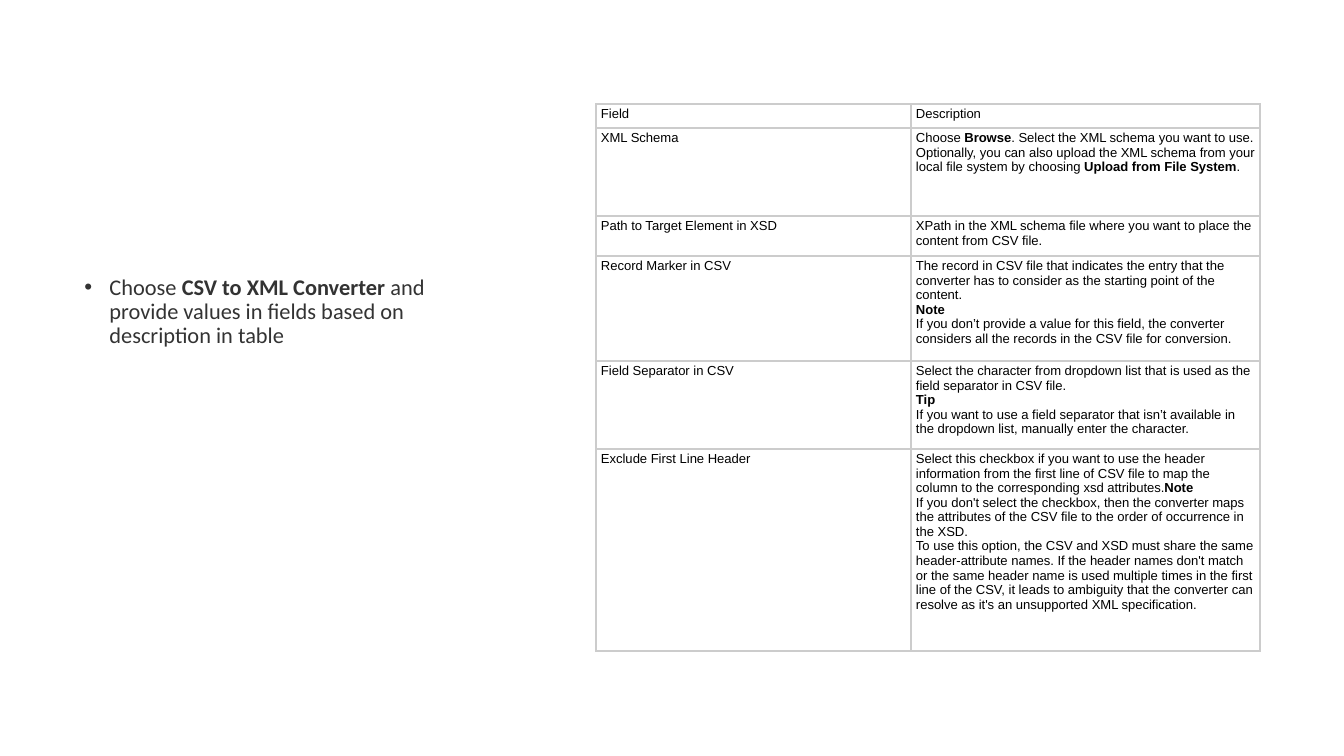
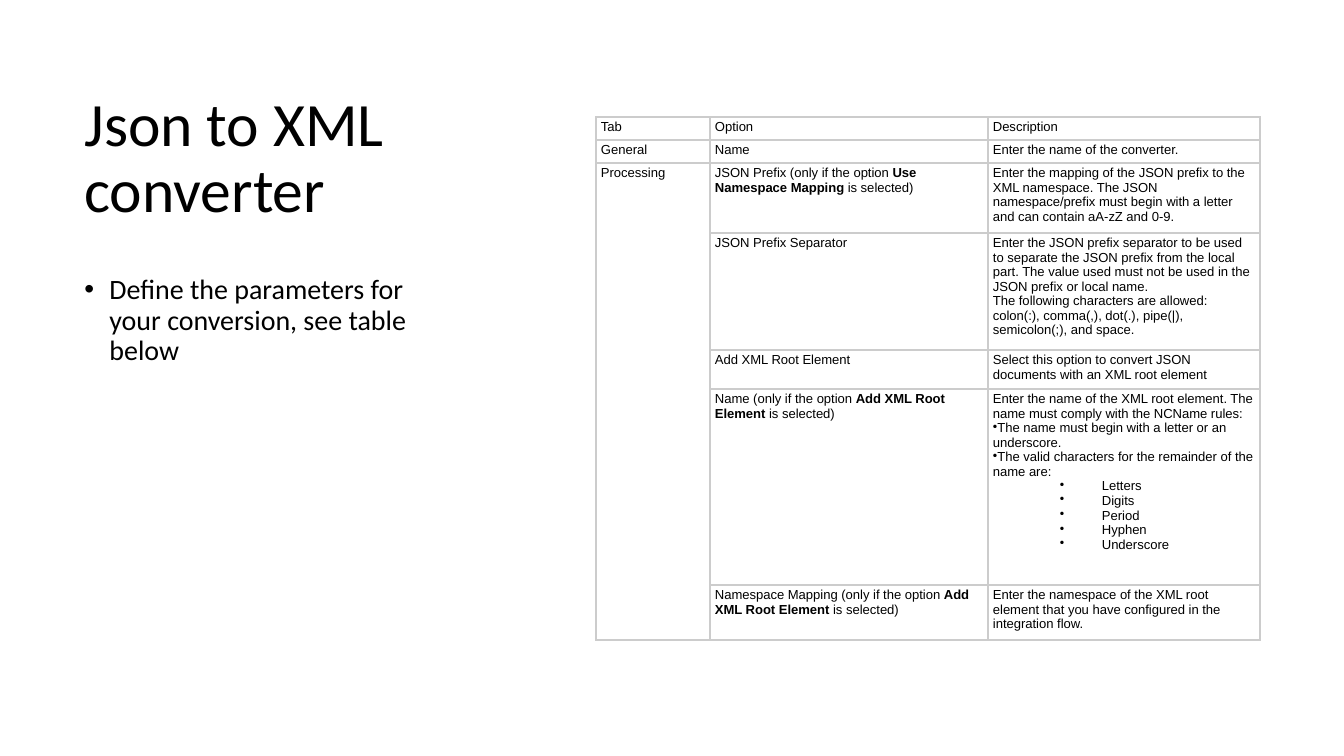
from lxml.etree import SubElement
from pptx import Presentation
from pptx.dml.color import RGBColor
from pptx.enum.text import MSO_ANCHOR, MSO_AUTO_SIZE, PP_ALIGN
from pptx.oxml import parse_xml
from pptx.oxml.ns import nsdecls, qn
from pptx.util import Pt

PX = 914400 / 134.4
BLACK = RGBColor(0x00, 0x00, 0x00)
CHARCOAL = RGBColor(0x33, 0x33, 0x33)
GRID = RGBColor(0xCC, 0xCC, 0xCC)
LEFT, COLUMN_WIDTH = 71, 387
TABLE_LEFT, TABLE_WIDTH = 596, 664


def px(n):
    return round(n * PX)


def write(p, text, size, font, color, bullet=False, indent=0, hanging=0):
    for i, piece in enumerate(text.split("**")):
        if piece:
            r = p.add_run()
            r.text = piece
            r.font.size = Pt(size)
            r.font.name = font
            r.font.bold = i % 2 == 1
            r.font.color.rgb = color
    if bullet:
        pPr = p._p.get_or_add_pPr()
        pPr.set("marL", str(px(indent)))
        pPr.set("indent", str(px(-hanging)))
        SubElement(pPr, qn("a:buChar")).set("char", "•")


slides = [
    {
        "title": None,
        "body": "Choose **CSV to XML Converter** and provide values in fields based on description in table",
        "size": 12,
        "color": CHARCOAL,
        "top": 104,
        "cols": [315, 349],
        "heights": [24, 88, 40, 105, 88, 202],
        "merge": None,
        "rows": [
            ["Field", "Description"],
            ["XML Schema",
             "Choose **Browse**. Select the XML schema you want to use.\n"
             "Optionally, you can also upload the XML schema from your local file system "
             "by choosing **Upload from File System**."],
            ["Path to Target Element in XSD",
             "XPath in the XML schema file where you want to place the content from CSV file."],
            ["Record Marker in CSV",
             "The record in CSV file that indicates the entry that the converter has to "
             "consider as the starting point of the content.\n"
             "**Note**\n"
             "If you don’t provide a value for this field, the converter considers all the "
             "records in the CSV file for conversion."],
            ["Field Separator in CSV",
             "Select the character from dropdown list that is used as the field separator in CSV file.\n"
             "**Tip**\n"
             "If you want to use a field separator that isn’t available in the dropdown list, "
             "manually enter the character."],
            ["Exclude First Line Header",
             "Select this checkbox if you want to use the header information from the first line "
             "of CSV file to map the column to the corresponding xsd attributes.**Note**\n"
             "If you don't select the checkbox, then the converter maps the attributes of the "
             "CSV file to the order of occurrence in the XSD.\n"
             "To use this option, the CSV and XSD must share the same header-attribute names. "
             "If the header names don't match or the same header name is used multiple times in "
             "the first line of the CSV, it leads to ambiguity that the converter can resolve as "
             "it's an unsupported XML specification."],
        ],
    },
    {
        "title": "Json to XML converter",
        "body": "Define the parameters for your conversion, see table below",
        "size": 15,
        "color": BLACK,
        "top": 117,
        "cols": [114, 278, 272],
        "heights": [23, 23, 70, 117, 39, 196, 55],
        "merge": ((2, 0), (6, 0)),
        "rows": [
            ["Tab", "Option", "Description"],
            ["General", "Name", "Enter the name of the converter."],
            ["Processing",
             "JSON Prefix (only if the option **Use Namespace Mapping** is selected)",
             "Enter the mapping of the JSON prefix to the XML namespace. The JSON "
             "namespace/prefix must begin with a letter and can contain aA-zZ and 0-9."],
            ["", "JSON Prefix Separator",
             "Enter the JSON prefix separator to be used to separate the JSON prefix from the "
             "local part. The value used must not be used in the JSON prefix or local name.\n"
             "The following characters are allowed: colon(:), comma(,), dot(.), pipe(|), "
             "semicolon(;), and space."],
            ["", "Add XML Root Element",
             "Select this option to convert JSON documents with an XML root element"],
            ["", "Name (only if the option **Add XML Root Element** is selected)",
             "Enter the name of the XML root element. The name must comply with the NCName rules:\n"
             "* The name must begin with a letter or an underscore.\n"
             "* The valid characters for the remainder of the name are:\n"
             "- Letters\n- Digits\n- Period\n- Hyphen\n- Underscore"],
            ["", "Namespace Mapping (only if the option **Add XML Root Element** is selected)",
             "Enter the namespace of the XML root element that you have configured in the "
             "integration flow."],
        ],
    },
]

MARKERS = {
    "* ": {"bullet": True},
    "- ": {"bullet": True, "indent": 109, "hanging": 42},
}

prs = Presentation()
prs.slide_width, prs.slide_height = px(1344), px(756)

for content in slides:
    s = prs.slides.add_slide(prs.slide_layouts[1])
    title, body = s.placeholders[0], s.placeholders[1]

    if content["title"]:
        title.left, title.top = px(LEFT), px(70)
        title.width, title.height = px(COLUMN_WIDTH), px(179)
        tf = title.text_frame
        tf.auto_size = MSO_AUTO_SIZE.NONE
        tf.vertical_anchor = MSO_ANCHOR.MIDDLE
        p = tf.paragraphs[0]
        p.alignment = PP_ALIGN.LEFT
        p.line_spacing = 0.9
        write(p, content["title"], 33, "Calibri", BLACK)
    else:
        title.element.getparent().remove(title.element)

    body.left, body.top = px(LEFT), px(269)
    body.width, body.height = px(COLUMN_WIDTH), px(417)
    tf = body.text_frame
    tf.auto_size = MSO_AUTO_SIZE.NONE
    p = tf.paragraphs[0]
    p.line_spacing = 0.9
    p.space_before = Pt(7.5)
    write(p, content["body"], content["size"], "Calibri", content["color"],
          bullet=True, indent=25, hanging=25)

    rows, cols, heights = content["rows"], content["cols"], content["heights"]
    table = s.shapes.add_table(len(rows), len(cols), px(TABLE_LEFT), px(content["top"]),
                               px(TABLE_WIDTH), px(sum(heights))).table
    table.first_row = table.horz_banding = False
    for column, width in zip(table.columns, cols):
        column.width = px(width)
    for row, height in zip(table.rows, heights):
        row.height = px(height)
    if content["merge"]:
        first, last = content["merge"]
        table.cell(*first).merge(table.cell(*last))

    for i, texts in enumerate(rows):
        for j, text in enumerate(texts):
            cell = table.cell(i, j)
            cell.margin_left = cell.margin_right = px(5)
            cell.margin_top = cell.margin_bottom = px(3)
            cell.fill.background()
            tcPr = cell._tc.get_or_add_tcPr()
            for n, side in enumerate(("lnL", "lnR", "lnT", "lnB")):
                tcPr.insert(n, parse_xml(
                    f'<a:{side} {nsdecls("a")} w="{Pt(1)}"><a:solidFill>'
                    f'<a:srgbClr val="{GRID}"/></a:solidFill></a:{side}>'))
            tf = cell.text_frame
            for k, line in enumerate(text.split("\n")):
                p = tf.add_paragraph() if k else tf.paragraphs[0]
                marker = MARKERS.get(line[:2], {})
                write(p, line[2:] if marker else line, 7, "Arial", BLACK, **marker)

prs.save("out.pptx")
